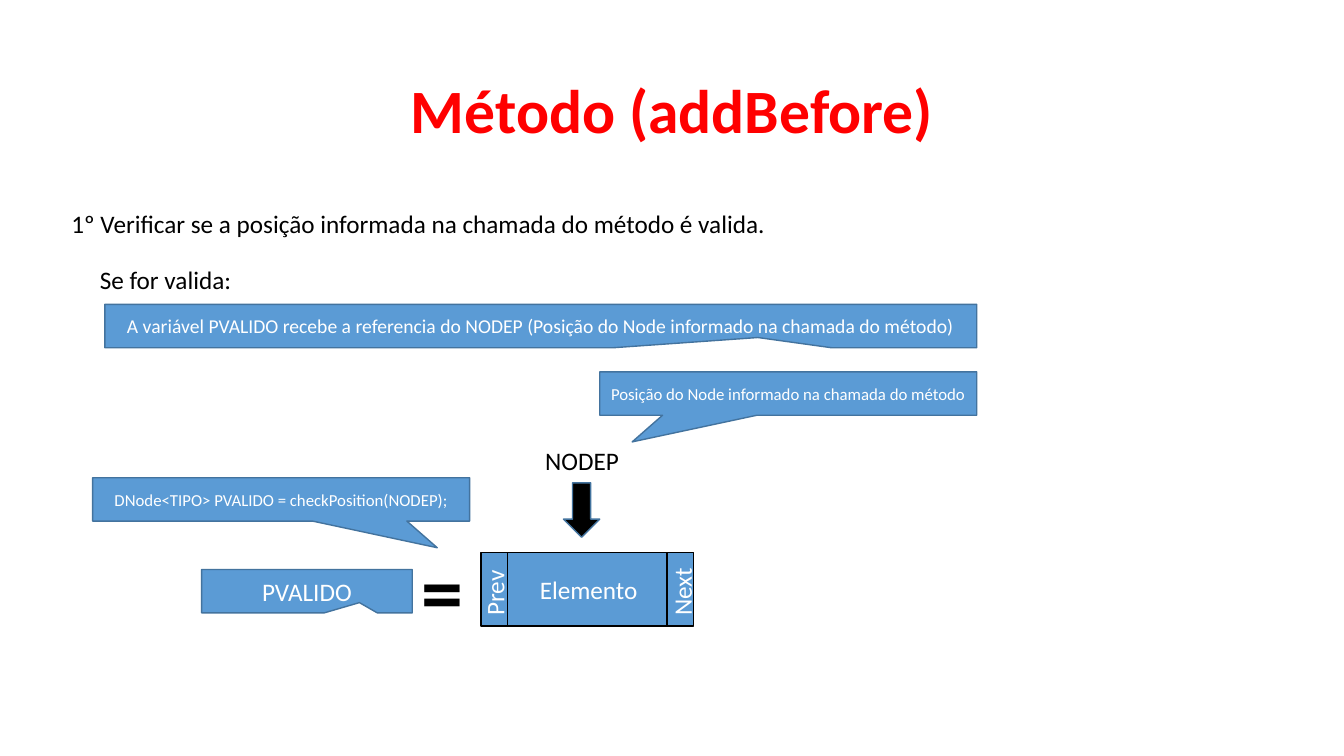
from pptx import Presentation
from pptx.dml.color import RGBColor
from pptx.enum.shapes import MSO_SHAPE as Shp
from pptx.enum.text import MSO_ANCHOR as Anchor, MSO_AUTO_SIZE as Fit, PP_ALIGN as Al
from pptx.util import Inches, Pt

CELL = Inches(0.1)
COLS, ROWS = 133.33, 75
BLACK, WHITE, RED = "000000", "FFFFFF", "FF0000"
BLUE, EDGE = "5B9BD5", "43739E"
UPWARD = (-0.249, 0.265)
SLANTED = (-0.414, 1.115)


def rgb(value):
    """Turn a hex string into a colour."""
    return RGBColor.from_string(value)


def grid(*cells):
    """Turn columns and rows into lengths."""
    return [round(c * CELL) for c in cells]


class Sheet:
    """Style and current slide, with one method per kind of element."""

    font = "Calibri"

    def __init__(self, prs):
        """Add a title-only slide and draw on it."""
        self.slide = prs.slides.add_slide(prs.slide_layouts[5])
        self.shapes = self.slide.shapes

    def add_text(self, tf, text, size, color, bold=False, align=Al.CENTER):
        """Put one formatted run in the first paragraph."""
        p = tf.paragraphs[0]
        p.alignment = align
        r = p.add_run()
        r.text = text
        r.font.name, r.font.size, r.font.bold = self.font, Pt(size), bold
        r.font.color.rgb = rgb(color)
        return p

    def title(self, box, text):
        """Move and fill the title placeholder."""
        sp = self.slide.shapes.title
        sp.left, sp.top, sp.width, sp.height = grid(*box)
        tf = sp.text_frame
        tf.vertical_anchor = Anchor.MIDDLE
        self.add_text(tf, text, 44, RED, bold=True).line_spacing = 0.9

    def label(self, box, text, size=18, color=BLACK, bold=False,
              align=Al.LEFT, turn=0, indent=0, wrap=True):
        """Add a text box that may be turned or indented."""
        sp = self.shapes.add_textbox(*grid(*box))
        sp.rotation = turn
        tf = sp.text_frame
        tf.word_wrap, tf.auto_size = wrap, Fit.SHAPE_TO_FIT_TEXT
        tf.margin_left += round(indent * CELL)
        self.add_text(tf, text, size, color, bold, align)

    def block(self, kind, box, fill=BLUE, line=EDGE):
        """Add a filled and outlined preset shape."""
        sp = self.shapes.add_shape(kind, *grid(*box))
        sp.shadow.inherit = False
        sp.fill.solid()
        sp.fill.fore_color.rgb = rgb(fill)
        sp.line.color.rgb, sp.line.width = rgb(line), Pt(1)
        return sp

    def callout(self, box, text, size, tip, flip=True):
        """Add a callout whose tip is given as shares of its size."""
        sp = self.block(Shp.RECTANGULAR_CALLOUT, box)
        sp.adjustments[0], sp.adjustments[1] = tip
        if flip:
            sp._element.spPr.xfrm.set("flipH", "1")
        tf = sp.text_frame
        tf.word_wrap, tf.vertical_anchor = True, Anchor.MIDDLE
        self.add_text(tf, text, size, WHITE)

    def node(self):
        """Group the node with its name, arrow, fields and callout."""
        self.shapes = self.slide.shapes.add_group_shape().shapes
        self.label((50.1, 43.7, 15.3, 4), "NODEP", align=Al.CENTER)
        self.block(Shp.DOWN_ARROW, (55.9, 47.9, 3.6, 5.4), fill=BLACK)
        self.block(Shp.FLOWCHART_PREDEFINED_PROCESS, (47.7, 54.8, 21.1, 7.3), line=BLACK)
        for left, text in ((64.2, "Next"), (45.6, "Prev")):
            self.label((left, 56.6, 6.9, 4), text, color=WHITE, turn=270)
        self.label((50.7, 56.5, 15.4, 4), "Elemento", color=WHITE, align=Al.CENTER)
        self.callout((59.5, 36.9, 37.4, 4.3), "Posição do Node informado na chamada do método",
                     12, SLANTED, flip=False)
        self.shapes = self.slide.shapes


def main():
    """Build the slide and save it."""
    prs = Presentation()
    prs.slide_width, prs.slide_height = grid(COLS, ROWS)
    s = Sheet(prs)
    s.title((9.2, 4, 115, 14.5), "Método (addBefore)")
    s.label((6.1, 20.2, 118.1, 4),
            "1º Verificar se a posição informada na chamada do método é valida.")
    s.callout((10.4, 30.2, 86.5, 4.3),
              "A variável PVALIDO recebe a referencia do NODEP "
              "(Posição do Node informado na chamada do método)", 14, UPWARD)
    s.label((6.1, 25.7, 118.1, 4), "Se for valida:", indent=2.8)
    s.node()
    s.callout((20, 56.5, 20.9, 4.3), "PVALIDO", 18, UPWARD)
    s.label((40.8, 52.9, 6.2, 11.1), "=", size=60, bold=True, wrap=False)
    s.callout((9.2, 47.4, 37.4, 4.3), "DNode<TIPO> PVALIDO = checkPosition(NODEP);", 12, SLANTED)
    prs.save("out.pptx")


if __name__ == "__main__":
    main()
